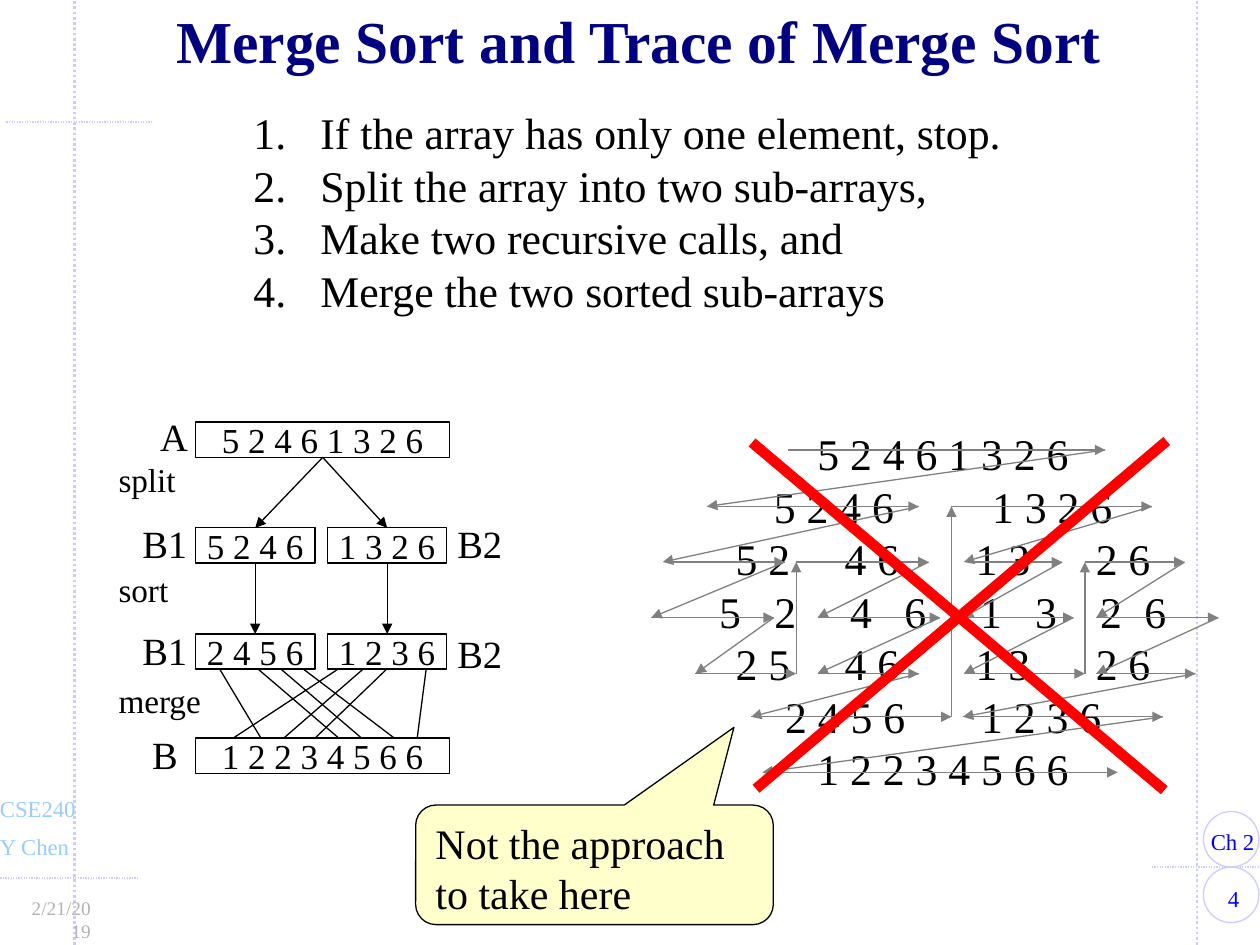
from dataclasses import dataclass
from itertools import pairwise

from lxml import etree
from pptx import Presentation
from pptx.dml.color import RGBColor
from pptx.enum.dml import MSO_LINE
from pptx.enum.shapes import MSO_CONNECTOR, MSO_SHAPE
from pptx.enum.text import MSO_ANCHOR, MSO_AUTO_SIZE, PP_ALIGN
from pptx.oxml.ns import qn
from pptx.util import Cm, Pt

STRAIGHT = MSO_CONNECTOR.STRAIGHT
RECTANGLE, OVAL = MSO_SHAPE.RECTANGLE, MSO_SHAPE.OVAL
CALLOUT = MSO_SHAPE.ROUNDED_RECTANGULAR_CALLOUT
DOTTED = MSO_LINE.ROUND_DOT
GROW = MSO_AUTO_SIZE.SHAPE_TO_FIT_TEXT
LEFT, CENTER, RIGHT = PP_ALIGN.LEFT, PP_ALIGN.CENTER, PP_ALIGN.RIGHT
TOP, MIDDLE = MSO_ANCHOR.TOP, MSO_ANCHOR.MIDDLE
SITE_TOP, SITE_BOTTOM = 0, 2


@dataclass(frozen=True)
class Theme:
    """Font, colours and type sizes of the slide."""
    font: str = "Times New Roman"
    title: str = "000080"
    ink: str = "000000"
    paper: str = "FFFFFF"
    frame: str = "CCCCFF"
    course: str = "99CCFF"
    page: str = "0000FF"
    date: str = "B2B2B2"
    trace: str = "808080"
    cross: str = "FF0000"
    note: str = "FFFFCC"
    title_size: int = 34
    body_size: int = 25
    note_size: int = 24
    label_size: int = 22
    array_size: int = 20
    step_size: int = 19
    tag_size: int = 13
    date_size: int = 11


THEME = Theme()

STEPS = (
    "If the array has only one element, stop.",
    "Split the array into two sub-arrays,",
    "Make two recursive calls, and",
    "Merge the two sorted sub-arrays",
)
WHOLE, HALVES = (4.58,), (2.38, 6.78)
PAIRS = (0.95, 3.15, 5.79, 8.21)
SINGLES = (0.29, 1.4, 2.93, 4.02, 5.55, 6.66, 7.97, 8.86)
TRACE_ROWS = (
    (("5 2 4 6 1 3 2 6",), WHOLE),
    (("5 2 4 6", "1 3 2 6"), HALVES),
    (("5 2", "4 6", "1 3", "2 6"), PAIRS),
    (("5", "2", "4", "6", "1", "3", "2", "6"), SINGLES),
    (("2 5", "4 6", "1 3", "2 6"), PAIRS),
    (("2 4 5 6", "1 2 3 6"), (2.61, 6.56)),
    (("1 2 2 3 4 5 6 6",), WHOLE),
)
TRACE_LEVELS = (9.07, 10.21, 11.33, 12.45, 13.58, 14.45, 15.57)
TRACE_PATHS = (
    ((15.88, 0), (22.28, 0), (14.25, 1), (18.52, 1), (13.36, 2)),
    ((13.56, 2), (15.82, 2), (13.13, 3), (15.6, 3), (14.02, 4), (16.05, 4),
     (16.05, 2), (18.72, 2), (16.48, 3), (18.95, 3), (16.48, 4), (18.52, 4),
     (15.14, 5), (19.18, 5), (19.18, 1), (23.22, 1), (19.43, 2)),
    ((19.63, 2), (21.41, 2), (19.41, 3), (21.64, 3), (19.43, 4), (21.87, 4),
     (21.87, 2), (23.88, 2), (22.1, 3), (24.56, 3), (22.1, 4), (24.1, 4),
     (19.41, 5), (23.44, 5), (15.37, 6)),
    ((15.6, 6), (22.53, 6)),
)
MERGE_LINES = ((7.04, 4.7), (7.49, 5.72), (4.34, 5.26), (7.95, 6.35),
               (5.03, 6.83), (5.49, 7.29), (8.61, 8.41), (5.92, 7.95))


def format_text(text_frame, size, color, align=LEFT, bold=False):
    """Format every paragraph and run of a text frame."""
    for paragraph in text_frame.paragraphs:
        paragraph.alignment = align
        paragraph.space_before = Pt(0)
        for run in paragraph.runs:
            run.font.name = THEME.font
            run.font.size = Pt(size)
            run.font.bold = bold
            run.font.color.rgb = RGBColor.from_string(color)


def set_frame(text_frame, anchor, wrap=True, inset=0.13):
    """Set the margins, anchor and wrapping of a text frame."""
    text_frame.margin_left = text_frame.margin_right = Cm(0.28)
    text_frame.margin_top = text_frame.margin_bottom = Cm(inset)
    text_frame.vertical_anchor = anchor
    text_frame.word_wrap = wrap


def place(shape, left, top, width, height):
    """Move and size a placeholder."""
    shape.left, shape.top = Cm(left), Cm(top)
    shape.width, shape.height = Cm(width), Cm(height)


def add_line(slide, start, end, color, weight=0.75, dash=None, arrow=False):
    """Add a straight connector without a shadow."""
    line = slide.shapes.add_connector(STRAIGHT, *map(Cm, start + end))
    line.line.color.rgb = RGBColor.from_string(color)
    line.line.width = Pt(weight)
    if dash:
        line.line.dash_style = dash
    properties = line._element.spPr
    if arrow:
        etree.SubElement(properties.find(qn("a:ln")), qn("a:tailEnd"), type="triangle")
    etree.SubElement(properties, qn("a:effectLst"))
    return line


def add_label(slide, text, box, size, color, align=LEFT, inset=0.13):
    """Add a text box."""
    text_frame = slide.shapes.add_textbox(*map(Cm, box)).text_frame
    set_frame(text_frame, TOP, inset=inset)
    text_frame.auto_size = GROW
    text_frame.text = text
    format_text(text_frame, size, color, align)
    return text_frame


def add_outline(slide, kind, box, color, fill=None):
    """Add a thinly outlined preset shape."""
    shape = slide.shapes.add_shape(kind, *map(Cm, box))
    shape.shadow.inherit = False
    shape.line.color.rgb = RGBColor.from_string(color)
    shape.line.width = Pt(0.75)
    if fill:
        shape.fill.solid()
        shape.fill.fore_color.rgb = RGBColor.from_string(fill)
    else:
        shape.fill.background()
    return shape


def add_array(slide, values, left, top, width=2.41, fill=None):
    """Add a box that holds the values of an array."""
    shape = add_outline(slide, RECTANGLE, (left, top, width, 0.71), THEME.ink, fill)
    set_frame(shape.text_frame, MIDDLE, False, 0.15)
    shape.text_frame.text = values
    format_text(shape.text_frame, THEME.array_size, THEME.ink, CENTER)
    return shape


def join(slide, upper, lower):
    """Draw an arrow from the bottom of one array to the top of another."""
    arrow = add_line(slide, (0, 0), (1, 1), THEME.ink, arrow=True)
    arrow.begin_connect(upper, SITE_BOTTOM)
    arrow.end_connect(lower, SITE_TOP)


def add_frame(slide):
    """Add the dotted frame, course tags, page circles and date."""
    for x in (1.5, 24.13):
        add_line(slide, (x, 19.05), (x, 0), THEME.frame, 1.5, DOTTED)
    for left, right, y in ((-0.15, 2.77, 17.7), (23.22, 25.53, 17.48), (0.13, 3.05, 2.46)):
        add_line(slide, (left, y), (right, y), THEME.frame, dash=DOTTED)
    for top in (16.36, 17.48):
        add_outline(slide, OVAL, (24.26, top, 1.12, 1.12), THEME.frame)
    for text, box, color, align in (
        ("4", (24.13, 17.7, 1.47, 0.81), THEME.page, CENTER),
        ("Ch 2", (24.13, 16.56, 1.9, 0.81), THEME.page, LEFT),
        ("Y Chen", (-0.28, 16.66, 2.6, 0.81), THEME.course, LEFT),
        ("CSE240", (-0.28, 15.9, 2.6, 0.81), THEME.course, LEFT),
    ):
        add_label(slide, text, box, THEME.tag_size, color, align)
    add_label(slide, "2/21/2019", (0.2, 17.93, 1.91, 0.74), THEME.date_size,
              THEME.date, RIGHT)


def add_title_and_steps(slide):
    """Fill the title and the numbered list."""
    title, body = slide.placeholders
    place(title, 1.63, 0.13, 22.5, 1.57)
    set_frame(title.text_frame, MIDDLE)
    title.text_frame.text = "Merge Sort and Trace of Merge Sort"
    format_text(title.text_frame, THEME.title_size, THEME.title, CENTER, True)
    title.text_frame.paragraphs[0].line_spacing = 0.85
    place(body, 4.83, 2.01, 15.82, 4.57)
    set_frame(body.text_frame, TOP)
    body.text_frame.text = "\n".join(STEPS)
    format_text(body.text_frame, THEME.body_size, THEME.ink)
    for paragraph in body.text_frame.paragraphs:
        properties = paragraph._p.get_or_add_pPr()
        properties.set("marL", str(Cm(1.35)))
        properties.set("indent", str(Cm(-1.35)))
        etree.SubElement(properties, qn("a:buFont"), typeface=THEME.font)
        etree.SubElement(properties, qn("a:buAutoNum"), type="arabicPeriod")


def add_trace(slide):
    """Add the rows of the full trace and the arrows through them."""
    text = "\n".join("".join("\t" + group for group in groups) for groups, _ in TRACE_ROWS)
    text_frame = add_label(slide, text, (14.15, 8.46, 9.7, 7.77), THEME.body_size,
                           THEME.ink, inset=0.15)
    for paragraph, (_, stops) in zip(text_frame.paragraphs, TRACE_ROWS):
        tabs = etree.SubElement(paragraph._p.get_or_add_pPr(), qn("a:tabLst"))
        for stop in stops:
            etree.SubElement(tabs, qn("a:tab"), pos=str(Cm(stop)), algn="ctr")
    for path in TRACE_PATHS:
        for (x1, level1), (x2, level2) in pairwise(path):
            add_line(slide, (x1, TRACE_LEVELS[level1]), (x2, TRACE_LEVELS[level2]),
                     THEME.trace, arrow=True)


def add_merge_sort(slide):
    """Add the split, sort and merge diagram."""
    for upper, lower in MERGE_LINES:
        add_line(slide, (upper, 13.34), (lower, 14.88), THEME.ink)
    whole = add_array(slide, "5 2 4 6 1 3 2 6", 3.94, 8.51, 5.13)
    add_array(slide, "1 2 2 3 4 5 6 6", 3.94, 14.88, 5.13)
    for left, unsorted, ordered in ((3.94, "5 2 4 6", "2 4 5 6"), (6.6, "1 3 2 6", "1 2 3 6")):
        half = add_array(slide, unsorted, left, 10.64)
        join(slide, whole, half)
        join(slide, half, add_array(slide, ordered, left, 12.78, fill=THEME.paper))
    for text, left, top in (("A", 2.95, 8.18), ("B1", 2.59, 10.34), ("B2", 8.94, 10.34),
                            ("B1", 2.59, 12.5), ("B2", 8.94, 12.55), ("B", 2.79, 14.58)):
        add_label(slide, text, (left, top, 1.6, 1.22), THEME.label_size, THEME.ink, inset=0.15)
    for text, top in (("split", 9.12), ("sort", 11.35), ("merge", 13.59)):
        add_label(slide, text, (2.11, top, 2.6, 1.07), THEME.step_size, THEME.ink)


def add_rejection(slide):
    """Cross out the trace and add the callout."""
    add_line(slide, (23.52, 8.89), (15.24, 15.9), THEME.cross, 6)
    add_line(slide, (15.16, 8.92), (23.47, 15.93), THEME.cross, 6)
    callout = add_outline(slide, CALLOUT, (8.38, 16.23, 7.21, 2.41), THEME.ink, THEME.note)
    for index, value in enumerate((0.39, -1.15, 0.17)):
        callout.adjustments[index] = value
    set_frame(callout.text_frame, TOP)
    callout.text_frame.text = "Not the approach to take here"
    format_text(callout.text_frame, THEME.note_size, THEME.ink)


def main():
    """Build the slide and save it."""
    presentation = Presentation()
    presentation.slide_width, presentation.slide_height = Cm(25.4), Cm(19.05)
    slide = presentation.slides.add_slide(presentation.slide_layouts[1])
    add_frame(slide)
    add_title_and_steps(slide)
    add_trace(slide)
    add_merge_sort(slide)
    add_rejection(slide)
    presentation.save("out.pptx")


if __name__ == "__main__":
    main()
